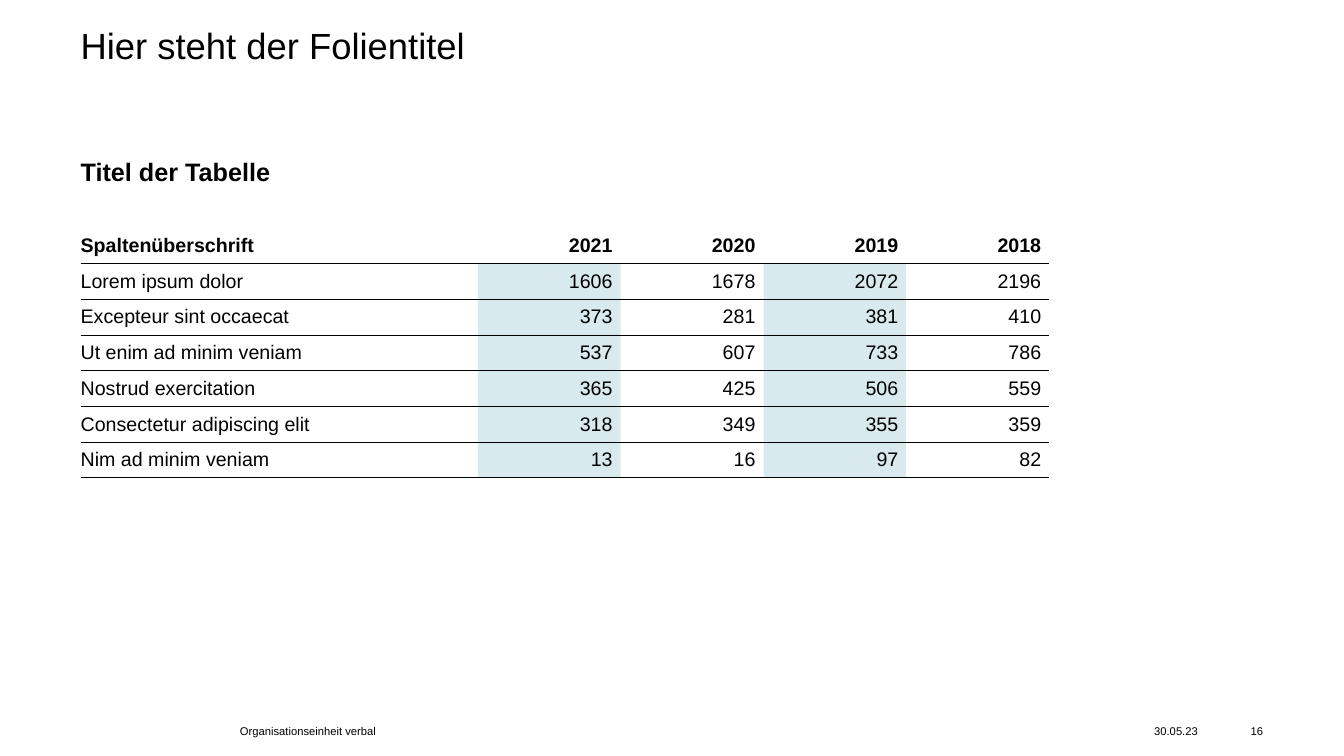
from dataclasses import dataclass

from lxml.etree import SubElement
from pptx import Presentation
from pptx.dml.color import RGBColor
from pptx.enum.text import MSO_ANCHOR, MSO_AUTO_SIZE, PP_ALIGN
from pptx.oxml import parse_xml
from pptx.oxml.ns import nsdecls, qn
from pptx.util import Inches, Pt


@dataclass(frozen=True)
class Theme:
    font: str = "Arial"
    ink: str = "000000"
    paper: str = "FFFFFF"
    accent: str = "007894"
    accent_alpha: int = 15
    title: int = 26
    subtitle: int = 18
    table: int = 14
    footer: int = 8


THEME = Theme()
LEFT, CONTENT_WIDTH = 0.8, 11.73
FOOTER_TOP, FOOTER_HEIGHT = 7.13, 0.24
TABLE_TOP, ROW_HEIGHT = 2.26, 0.3545
LABEL_WIDTH, YEAR_WIDTH = 3.94, 1.4175
ROWS = [
    ("Spaltenüberschrift", 2021, 2020, 2019, 2018),
    ("Lorem ipsum dolor", 1606, 1678, 2072, 2196),
    ("Excepteur sint occaecat", 373, 281, 381, 410),
    ("Ut enim ad minim veniam", 537, 607, 733, 786),
    ("Nostrud exercitation", 365, 425, 506, 559),
    ("Consectetur adipiscing elit", 318, 349, 355, 359),
    ("Nim ad minim veniam", 13, 16, 97, 82),
]


def write(frame, text, size, bold=False, align=PP_ALIGN.LEFT):
    para = frame.paragraphs[0]
    para.alignment = align
    span = para.add_run()
    span.text = text
    for name, value in {"name": THEME.font, "size": Pt(size), "bold": bold}.items():
        setattr(span.font, name, value)
    span.font.color.rgb = RGBColor.from_string(THEME.ink)
    return para


def set_frame(box, bounds, anchor):
    """Place a box and give it a wrapping text frame without margins."""
    for name, value in zip(("left", "top", "width", "height"), bounds):
        setattr(box, name, Inches(value))
    frame = box.text_frame
    settings = {"word_wrap": True, "auto_size": MSO_AUTO_SIZE.NONE,
                "vertical_anchor": anchor, "margin_left": 0, "margin_top": 0,
                "margin_right": 0, "margin_bottom": 0}
    for name, value in settings.items():
        setattr(frame, name, value)
    return frame


deck = Presentation()
deck.slide_width, deck.slide_height = Inches(13.333), Inches(7.5)
page = deck.slides.add_slide(deck.slide_layouts[1])
page.background.fill.solid()
page.background.fill.fore_color.rgb = RGBColor.from_string(THEME.paper)

# Title and table heading
title_frame = set_frame(page.shapes.title, (LEFT, 0.28, CONTENT_WIDTH, 0.98), MSO_ANCHOR.TOP)
write(title_frame, "Hier steht der Folientitel", THEME.title).line_spacing = 0.9

heading_frame = set_frame(page.placeholders[1], (LEFT, 1.55, CONTENT_WIDTH, 0.43), MSO_ANCHOR.TOP)
heading = write(heading_frame, "Titel der Tabelle", THEME.subtitle, bold=True)
heading.space_before = Pt(10)
heading_format = heading._p.get_or_add_pPr()
heading_format.set("marL", "0")
heading_format.set("indent", "0")
SubElement(heading_format, qn("a:buNone"))

# Table
table = page.shapes.add_table(
    len(ROWS), len(ROWS[0]), Inches(LEFT), Inches(TABLE_TOP),
    Inches(LABEL_WIDTH + 4 * YEAR_WIDTH), Inches(ROW_HEIGHT * len(ROWS))).table
table.first_row = table.horz_banding = False
NO_STYLE = "{2D5ABB26-0587-4C30-8999-92F81FD0307C}"
table._tbl.tblPr.find(qn("a:tableStyleId")).text = NO_STYLE
for index, column in enumerate(table.columns):
    column.width = Inches(YEAR_WIDTH if index else LABEL_WIDTH)

for row_index, values in enumerate(ROWS):
    table.rows[row_index].height = Inches(ROW_HEIGHT)
    is_header = row_index == 0
    for column_index, value in enumerate(values):
        cell = table.cell(row_index, column_index)
        cell.margin_left = cell.margin_top = cell.margin_bottom = 0
        cell.margin_right = Inches(0.08)
        cell.vertical_anchor = MSO_ANCHOR.MIDDLE
        align = PP_ALIGN.RIGHT if column_index else PP_ALIGN.LEFT
        write(cell.text_frame, str(value), THEME.table, is_header, align)

        is_tinted = column_index % 2 == 1
        if is_header:
            cell.fill.background()
        else:
            cell.fill.solid()
            cell.fill.fore_color.rgb = RGBColor.from_string(
                THEME.accent if is_tinted else THEME.paper)
        cell_format = cell._tc.get_or_add_tcPr()
        if is_tinted and not is_header:
            color = cell_format.find(qn("a:solidFill"))[0]
            SubElement(color, qn("a:alpha"), val=str(THEME.accent_alpha * 1000))
        rule_width = Pt(1 if is_header else 0.5)
        cell_format.insert(0, parse_xml(
            f'<a:lnB {nsdecls("a")} w="{rule_width}"><a:solidFill>'
            f'<a:srgbClr val="{THEME.ink}"/></a:solidFill></a:lnB>'))

# Footer
for text, left, width, align in (
    ("Organisationseinheit verbal", 2.38, 5.91, PP_ALIGN.LEFT),
    ("30.05.23", 11.45, 0.67, PP_ALIGN.LEFT),
    ("16", 12.18, 0.35, PP_ALIGN.RIGHT),
):
    footer_box = page.shapes.add_textbox(0, 0, 0, 0)
    footer_frame = set_frame(
        footer_box, (left, FOOTER_TOP, width, FOOTER_HEIGHT), MSO_ANCHOR.MIDDLE)
    write(footer_frame, text, THEME.footer, align=align)

deck.save("out.pptx")
